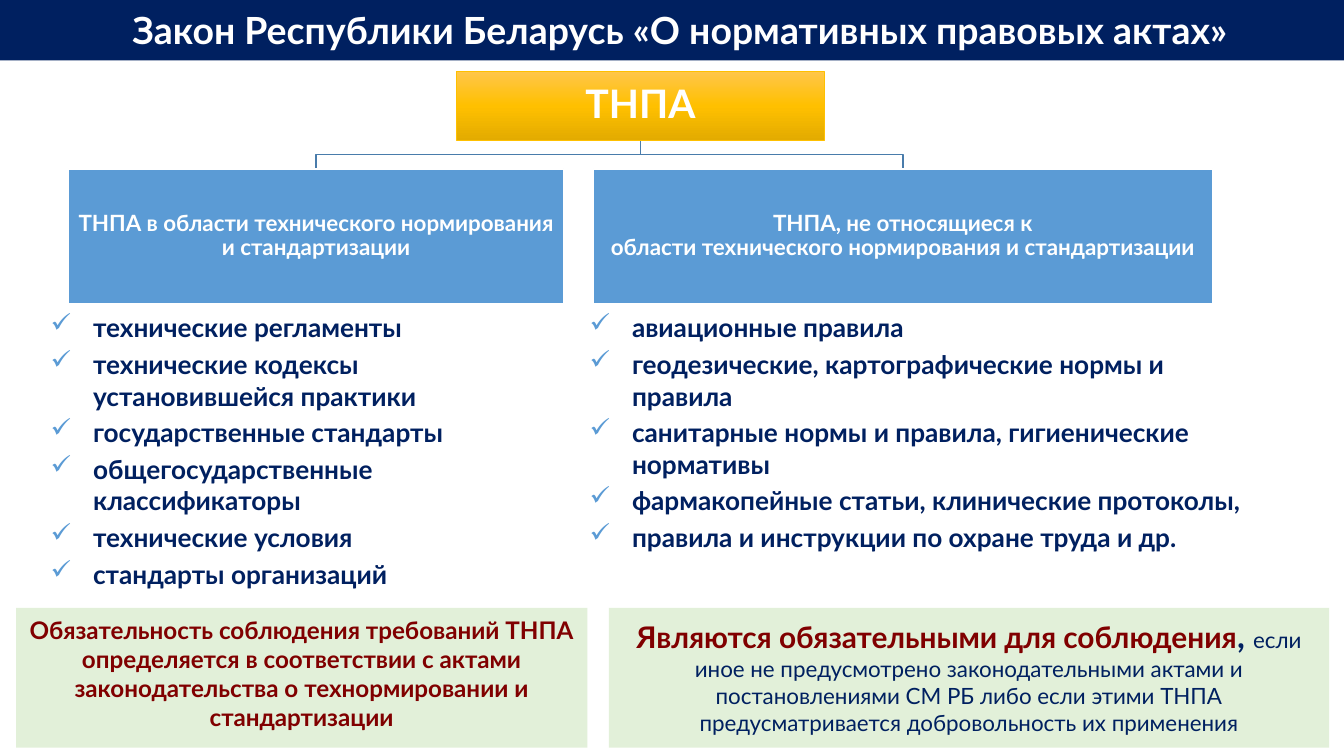
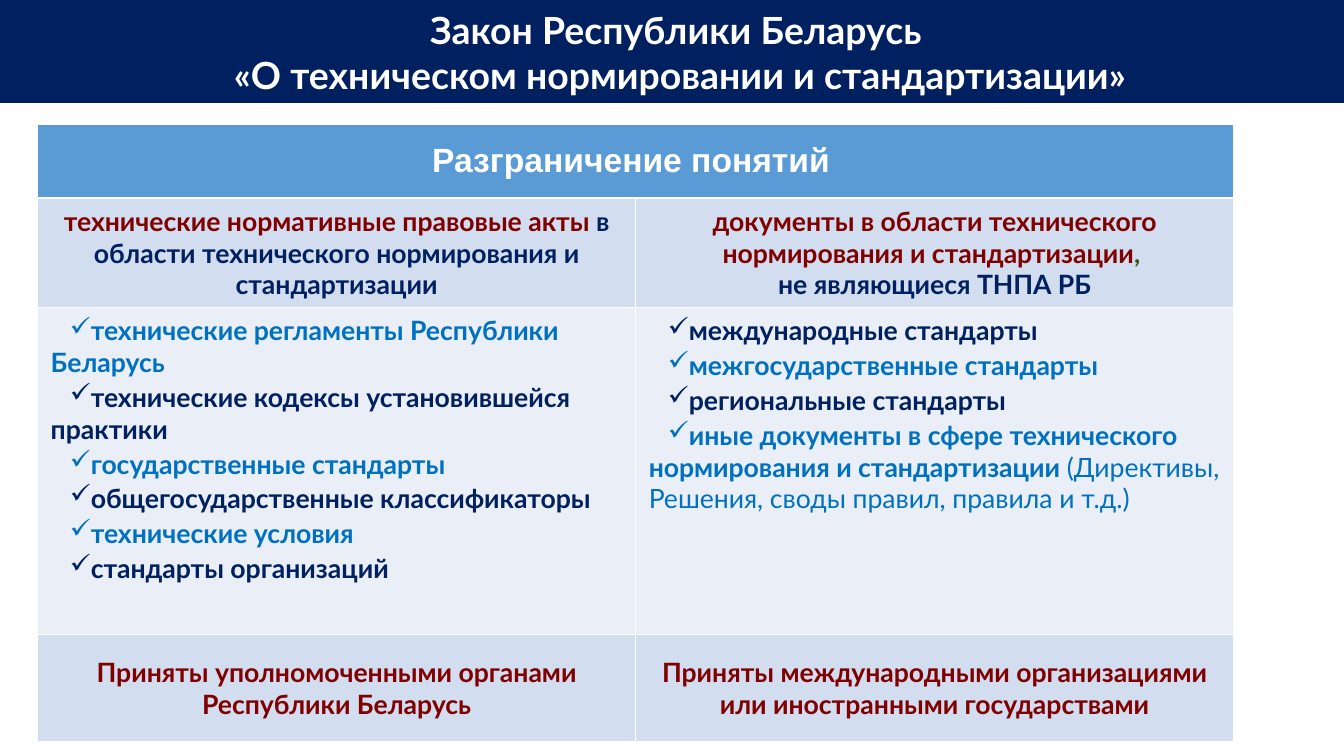
from copy import deepcopy
from dataclasses import dataclass
from itertools import cycle

from lxml.etree import SubElement
from pptx import Presentation
from pptx.dml.color import RGBColor
from pptx.enum.shapes import MSO_SHAPE
from pptx.enum.text import MSO_ANCHOR, MSO_AUTO_SIZE, PP_ALIGN
from pptx.oxml.ns import qn
from pptx.util import Inches, Pt


@dataclass(frozen=True)
class Theme:
    font: str = "Lato"
    heading_font: str = "Arial"
    navy: str = "002060"
    blue: str = "5B9BD5"
    bright_blue: str = "0070C0"
    branch_blue: str = "497CAB"
    maroon: str = "800000"
    dark_green: str = "385723"
    pale_green: str = "E2F0D9"
    pale_blue: str = "D2DEEF"
    paler_blue: str = "EAEFF7"
    white: str = "FFFFFF"
    gold: tuple = ("FFC64B", "FFC000", "E3AB00")
    root_size: float = 28
    title_size: float = 26.7
    heading_size: float = 24
    emphasis_size: float = 21.3
    cell_size: float = 19
    list_size: float = 18.7
    note_size: float = 17.3
    small_size: float = 16
    inset: tuple = (0.13, 0.07)


THEME = Theme()


@dataclass(frozen=True)
class Box:
    left: int
    top: int
    width: int
    height: int

    def inner(self, left, top, width, height):
        """Return an inner box given in percent of this one."""
        return Box(
            round(self.left + self.width * left / 100),
            round(self.top + self.height * top / 100),
            round(self.width * width / 100),
            round(self.height * height / 100),
        )

    @property
    def place(self):
        return self.left, self.top, self.width, self.height

    @property
    def center(self):
        return self.left + self.width // 2

    @property
    def bottom(self):
        return self.top + self.height


@dataclass(frozen=True)
class Run:
    """A piece of text; unset fields follow the whole text's format."""
    text: str
    color: str = None
    size: float = None
    bold: bool = None


SLIDE = Box(0, 0, Inches(13.33), Inches(7.5))


def color_of(value):
    return RGBColor.from_string(value)


def add_bullet(paragraph, hanging, first_line, color):
    properties = paragraph._p.get_or_add_pPr()
    properties.set("marL", str(Inches(hanging)))
    properties.set("indent", str(Inches(first_line)))
    if color:
        bullet_color = SubElement(properties, qn("a:buClr"))
        SubElement(bullet_color, qn("a:srgbClr"), val=color)
    SubElement(properties, qn("a:buChar"), char="✓")


def write_text(frame, paragraphs, size, color=THEME.white, bold=True, font=THEME.font,
               align=PP_ALIGN.CENTER, line_spacing=None, space_after=None, bullet=None):
    """Fill a text frame; each paragraph is a string or a list of runs."""
    for index, content in enumerate(paragraphs):
        paragraph = frame.add_paragraph() if index else frame.paragraphs[0]
        paragraph.alignment = align
        if line_spacing:
            paragraph.line_spacing = line_spacing
        if space_after:
            paragraph.space_after = Pt(space_after)
        if bullet:
            add_bullet(paragraph, **bullet)
        for piece in [Run(content)] if isinstance(content, str) else content:
            for line_number, line in enumerate(piece.text.split("\n")):
                if line_number:
                    paragraph.add_line_break()
                if not line:
                    continue
                run = paragraph.add_run()
                run.text = line
                run.font.name = font
                run.font.size = Pt(piece.size or size)
                run.font.bold = bold if piece.bold is None else piece.bold
                run.font.color.rgb = color_of(piece.color or color)


def set_frame(frame, anchor=MSO_ANCHOR.TOP, inset=THEME.inset):
    frame.word_wrap = True
    frame.auto_size = MSO_AUTO_SIZE.NONE
    frame.vertical_anchor = anchor
    frame.margin_left = frame.margin_right = Inches(inset[0])
    frame.margin_top = frame.margin_bottom = Inches(inset[1])


def add_rectangle(slide, box, fill, line=None, line_width=1):
    shape = slide.shapes.add_shape(MSO_SHAPE.RECTANGLE, *box.place)
    shape.shadow.inherit = False
    shape.fill.solid()
    shape.fill.fore_color.rgb = color_of(fill)
    if line:
        shape.line.color.rgb = color_of(line)
        shape.line.width = Pt(line_width)
    else:
        shape.line.fill.background()
    return shape


def add_titled_slide(presentation, title_text, band_height):
    slide = presentation.slides.add_slide(presentation.slide_layouts[5])
    title = slide.shapes.title
    band = SLIDE.inner(0, 0, 100, band_height)
    title.left, title.top, title.width, title.height = band.place
    title.fill.solid()
    title.fill.fore_color.rgb = color_of(THEME.navy)
    set_frame(title.text_frame)
    title.text_frame.margin_left = Inches(0.3)
    write_text(title.text_frame, [title_text], THEME.title_size)
    return slide


def fill_gold(shape):
    shape.fill.gradient()
    shape.fill.gradient_angle = 270
    stop_list = shape.element.spPr.find(".//" + qn("a:gsLst"))
    stop_list.insert(1, deepcopy(stop_list[0]))
    for index, (stop, color) in enumerate(zip(shape.fill.gradient_stops, THEME.gold)):
        stop.position = index / 2
        stop.color.rgb = color_of(color)


def add_branch(slide, parent, child):
    middle = (parent.bottom + child.top) // 2
    builder = slide.shapes.build_freeform(parent.center, parent.bottom)
    builder.add_line_segments(
        [(parent.center, middle), (child.center, middle), (child.center, child.top)],
        close=False,
    )
    branch = builder.convert_to_shape()
    branch.shadow.inherit = False
    branch.fill.background()
    branch.line.color.rgb = color_of(THEME.branch_blue)
    branch.line.width = Pt(1)


def add_tree(slide, box, root_text, child_texts):
    root_box = box.inner(33.9, 0, 32.2, 29.8)
    child_boxes = [box.inner(0, 42, 43.3, 58), box.inner(45.9, 42, 54.1, 58)]
    for child_box in child_boxes:
        add_branch(slide, root_box, child_box)

    root = add_rectangle(slide, root_box, THEME.gold[1], THEME.gold[1], 0.5)
    fill_gold(root)
    set_frame(root.text_frame, MSO_ANCHOR.MIDDLE, (0.02, 0.02))
    write_text(root.text_frame, [root_text], THEME.root_size, line_spacing=0.9)

    for child_box, text in zip(child_boxes, child_texts):
        child = add_rectangle(slide, child_box, THEME.blue, THEME.white)
        set_frame(child.text_frame, MSO_ANCHOR.MIDDLE, (0.01, 0.01))
        write_text(child.text_frame, [text], THEME.small_size, line_spacing=0.9)


def add_check_list(slide, box, items):
    frame = slide.shapes.add_textbox(*box.place).text_frame
    set_frame(frame)
    write_text(frame, items, THEME.list_size, THEME.navy, align=PP_ALIGN.LEFT, space_after=3.8,
               bullet={"hanging": 0.42, "first_line": -0.42, "color": THEME.blue})


def add_note(slide, box, content):
    note = add_rectangle(slide, box, THEME.pale_green)
    set_frame(note.text_frame)
    write_text(note.text_frame, [content], THEME.note_size, THEME.maroon)


def fill_cell(cell, fill, paragraphs, anchor=MSO_ANCHOR.MIDDLE, **text_format):
    cell.fill.solid()
    cell.fill.fore_color.rgb = color_of(fill)
    cell.vertical_anchor = anchor
    cell.margin_left = cell.margin_right = Inches(THEME.inset[0])
    cell.margin_top = cell.margin_bottom = Inches(THEME.inset[1])
    write_text(cell.text_frame, paragraphs, **{"size": THEME.cell_size, **text_format})


def add_comparison_table(slide, box, heading, subjects, lists, sources):
    table = slide.shapes.add_table(4, 2, *box.place).table
    for row, share in zip(table.rows, (12, 17.5, 53, 17.5)):
        row.height = round(box.height * share / 100)

    table.cell(0, 0).merge(table.cell(0, 1))
    fill_cell(table.cell(0, 0), THEME.blue, [heading],
              size=THEME.heading_size, font=THEME.heading_font)
    for column, (subject, items, source) in enumerate(zip(subjects, lists, sources)):
        fill_cell(table.cell(1, column), THEME.pale_blue, [subject], MSO_ANCHOR.TOP)
        fill_cell(table.cell(2, column), THEME.paler_blue, items, MSO_ANCHOR.TOP,
                  align=PP_ALIGN.LEFT, space_after=2,
                  bullet={"hanging": 0, "first_line": 0.19, "color": None})
        fill_cell(table.cell(3, column), THEME.pale_blue, [source], color=THEME.maroon)


def alternate(items, *colors):
    return [[Run(item, color)] for item, color in zip(items, cycle(colors))]


def build_acts_slide(presentation):
    slide = add_titled_slide(
        presentation, "Закон Республики Беларусь «О нормативных правовых актах»", 8)
    add_tree(slide, SLIDE.inner(5.1, 9.4, 85.1, 30.8), "ТНПА", [
        "ТНПА в области технического нормирования и стандартизации",
        "ТНПА, не относящиеся к\nобласти технического нормирования и стандартизации",
    ])
    add_check_list(slide, SLIDE.inner(2.8, 40.3, 39.3, 40), [
        "технические регламенты",
        "технические кодексы установившейся практики",
        "государственные стандарты",
        "общегосударственные классификаторы",
        "технические условия",
        "стандарты организаций",
    ])
    add_check_list(slide, SLIDE.inner(42.9, 40.3, 51.2, 40), [
        "авиационные правила",
        "геодезические, картографические нормы и правила",
        "санитарные нормы и правила, гигиенические нормативы",
        "фармакопейные статьи, клинические протоколы,",
        "правила и инструкции по охране труда и др.",
    ])
    add_note(slide, SLIDE.inner(1.2, 80.4, 42.5, 18.5),
             "Обязательность соблюдения требований ТНПА определяется в соответствии "
             "с актами законодательства о технормировании и стандартизации")
    add_note(slide, SLIDE.inner(45.3, 80.4, 53.6, 18.5), [
        Run("Являются обязательными для соблюдения", size=THEME.emphasis_size),
        Run(", ", THEME.navy, THEME.heading_size),
        Run("если иное не предусмотрено законодательными актами и постановлениями СМ РБ "
            "либо если этими ТНПА предусматривается добровольность их применения",
            THEME.navy, THEME.small_size, False),
    ])


def build_concepts_slide(presentation):
    slide = add_titled_slide(
        presentation,
        "Закон Республики Беларусь \n«О техническом нормировании и стандартизации»", 13.6)
    subjects = [
        [Run("технические нормативные правовые акты ", THEME.maroon),
         Run("в области технического нормирования и стандартизации", THEME.navy)],
        [Run("документы в области технического нормирования и стандартизации", THEME.maroon),
         Run(", \n", THEME.dark_green),
         Run("не являющиеся ТНПА РБ", THEME.navy)],
    ]
    national = alternate([
        "технические регламенты Республики Беларусь",
        "технические кодексы установившейся практики",
        "государственные стандарты",
        "общегосударственные классификаторы",
        "технические условия",
        "стандарты организаций",
    ], THEME.bright_blue, THEME.navy)
    foreign = alternate([
        "международные стандарты",
        "межгосударственные стандарты",
        "региональные стандарты",
        "иные документы в сфере технического нормирования и стандартизации ",
    ], THEME.navy, THEME.bright_blue)
    foreign[-1].append(Run("(Директивы, Решения, своды правил, правила и т.д.)",
                           THEME.bright_blue, bold=False))
    add_comparison_table(
        slide, SLIDE.inner(2.8, 16.4, 89, 81.5), "Разграничение понятий ",
        subjects, [national, foreign],
        ["Приняты уполномоченными органами Республики Беларусь",
         "Приняты международными организациями или иностранными государствами"])


def main():
    presentation = Presentation()
    presentation.slide_width, presentation.slide_height = SLIDE.width, SLIDE.height
    build_acts_slide(presentation)
    build_concepts_slide(presentation)
    presentation.save("out.pptx")


if __name__ == "__main__":
    main()
